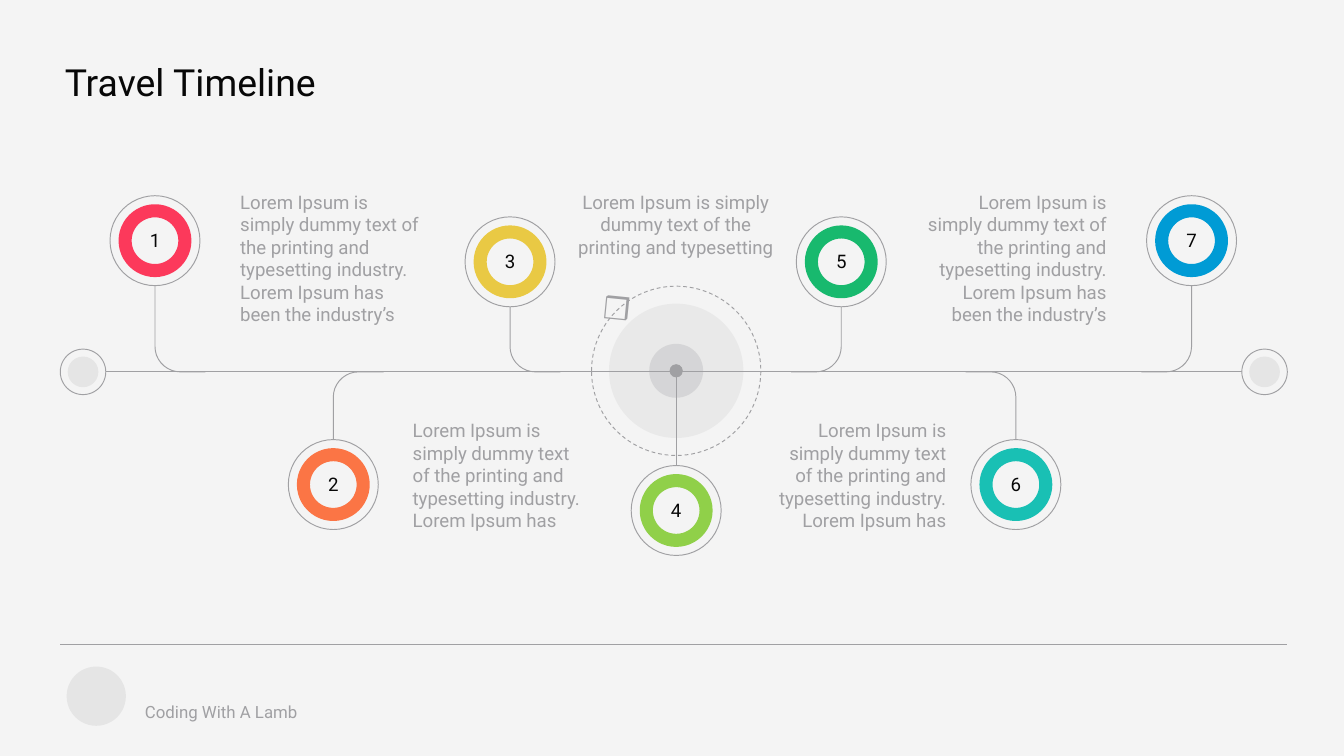
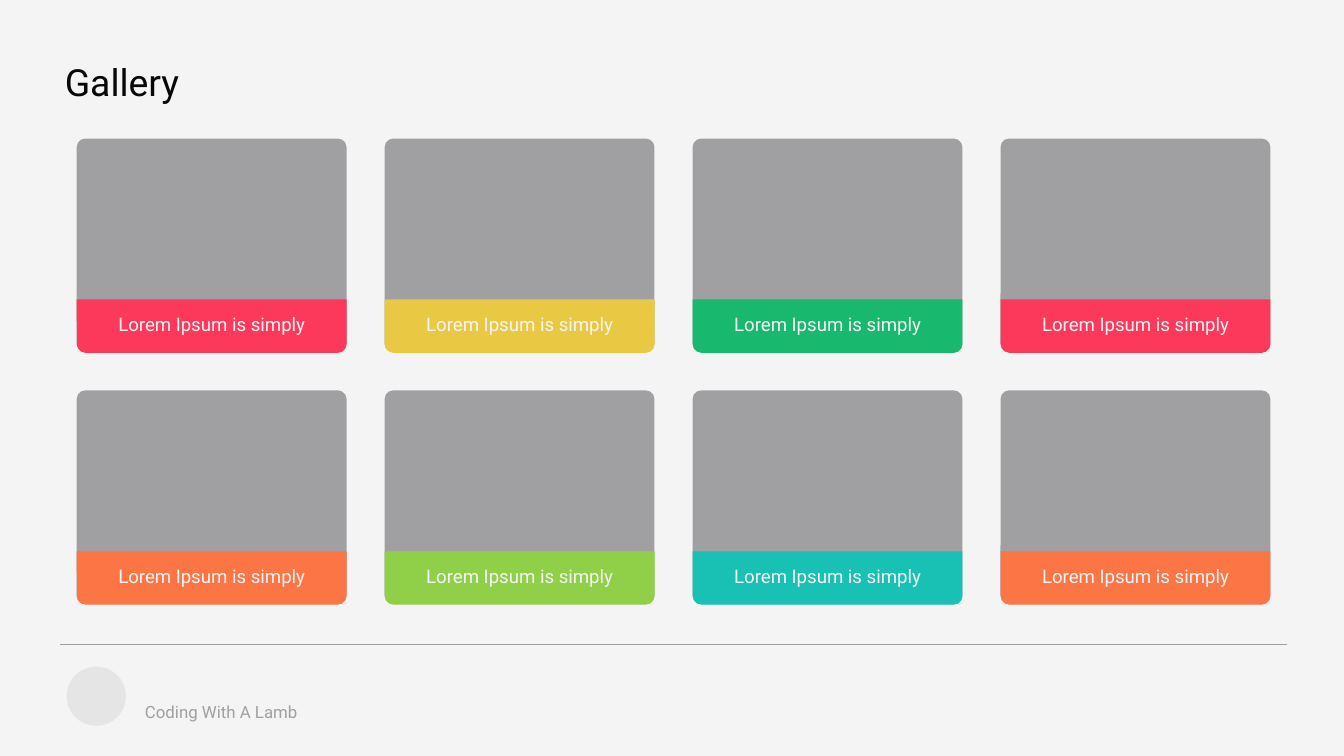
import math

import lxml.etree
import pptx
import pptx.dml.color
import pptx.enum.dml
import pptx.enum.shapes
import pptx.enum.text
import pptx.oxml.ns
import pptx.util

Cm = pptx.util.Cm
Pt = pptx.util.Pt
RGB = pptx.dml.color.RGBColor.from_string
SHAPE = pptx.enum.shapes.MSO_SHAPE
ALIGN = pptx.enum.text.PP_ALIGN
qn = pptx.oxml.ns.qn

COLORS = {
    "paper": "F4F4F4",
    "ink": "070707",
    "grey": "A0A0A3",
    "pale": "E5E5E5",
    "red": "FC395B",
    "orange": "FB7545",
    "yellow": "E9C944",
    "lime": "90D049",
    "green": "18B96E",
    "teal": "19C0B4",
    "blue": "009BD5",
}


def add_figure(slide, kind, box, fill=None, line=None, weight=0.5):
    figure = slide.shapes.add_shape(kind, *[Cm(v) for v in box])
    figure.shadow.inherit = False
    if fill:
        figure.fill.solid()
        figure.fill.fore_color.rgb = RGB(COLORS[fill])
    else:
        figure.fill.background()
    if line:
        figure.line.color.rgb = RGB(COLORS[line])
        figure.line.width = Pt(weight)
    else:
        figure.line.fill.background()
    return figure


def add_words(slide, box, words, align=ALIGN.LEFT, color="grey", size=10, font="Roboto"):
    holder = slide.shapes.add_textbox(*[Cm(v) for v in box])
    holder.text_frame.word_wrap = True
    paragraph = holder.text_frame.paragraphs[0]
    paragraph.alignment = align
    run = paragraph.add_run()
    run.text = words
    run.font.name = font
    run.font.size = Pt(size)
    run.font.color.rgb = RGB(COLORS[color])
    return holder


prs = pptx.Presentation()
prs.slide_width = Cm(25.4)
prs.slide_height = Cm(14.29)
backdrop = prs.slide_master.background.fill
backdrop.solid()
backdrop.fore_color.rgb = RGB(COLORS["paper"])

title_only = prs.slide_layouts[5]
heading = title_only.placeholders[0]
heading.left, heading.top, heading.width, heading.height = Cm(0.97), Cm(0.79), Cm(12.55), Cm(1.3)

AXIS_Y = 7.03
HUB_X = 12.78
RING = 1.7
footer_rule = (1.14, 12.19, 24.33, 12.19)
timeline_axis = (24.13, AXIS_Y, 1.35, AXIS_Y)
hub_stem = (HUB_X, AXIS_Y, HUB_X, 8.8)

slides = []
for title, rules in [
    ("Travel Timeline", [footer_rule, timeline_axis, hub_stem]),
    ("Gallery", [footer_rule]),
]:
    slide = prs.slides.add_slide(title_only)
    slides.append(slide)
    frame = slide.shapes.title.text_frame
    frame.auto_size = pptx.enum.text.MSO_AUTO_SIZE.NONE
    frame.vertical_anchor = pptx.enum.text.MSO_ANCHOR.BOTTOM
    frame.paragraphs[0].alignment = ALIGN.LEFT
    run = frame.paragraphs[0].add_run()
    run.text = title
    run.font.name = "Roboto"
    run.font.size = Pt(20)
    run.font.color.rgb = RGB(COLORS["ink"])

    add_figure(slide, SHAPE.OVAL, (1.26, 12.6, 1.12, 1.12), "pale")
    add_words(slide, (2.49, 13.13, 5.16, 0.64), "Coding With A Lamb", size=9)
    for ends in rules:
        rule = slide.shapes.add_connector(
            pptx.enum.shapes.MSO_CONNECTOR.STRAIGHT, *[Cm(v) for v in ends]
        )
        rule.line.color.rgb = RGB(COLORS["grey"])
        rule.line.width = Pt(0.5)
        lxml.etree.SubElement(rule._element.spPr, qn("a:effectLst"))

timeline, gallery = slides

for end_x in (1.57, 23.9):
    for size, fill, line in [(0.86, "paper", "grey"), (0.58, "pale", None)]:
        box = (end_x - size / 2, AXIS_Y - size / 2, size, size)
        add_figure(timeline, SHAPE.OVAL, box, fill, line)

BEND = 0.48
milestones = [
    (2.93, 4.55, "red"),
    (6.3, 9.16, "orange"),
    (9.64, 4.95, "yellow"),
    (HUB_X, 9.65, "lime"),
    (15.9, 4.95, "green"),
    (19.2, 9.16, "teal"),
    (22.52, 4.55, "blue"),
]
for number, (x, y, color) in enumerate(milestones, 1):
    for size, line, weight in [(RING, "grey", 0.5), (1.13, color, 7)]:
        box = (x - size / 2, y - size / 2, size, size)
        add_figure(timeline, SHAPE.OVAL, box, "paper", line, weight)
    add_words(timeline, (x - 0.45, y - 0.35, 0.9, 0.69), str(number), ALIGN.CENTER, "ink")
    if x == HUB_X:
        continue
    inward = 1 if x < HUB_X else -1
    outward = 1 if y > AXIS_Y else -1
    bend = [math.radians(angle) for angle in range(0, 91, 10)]
    points = [
        (x + inward * BEND * (1 - math.sin(a)), AXIS_Y + outward * BEND * (1 - math.cos(a)))
        for a in bend
    ]
    points.append((x, y - outward * RING / 2))
    builder = timeline.shapes.build_freeform(Cm(x + inward * 0.95), Cm(AXIS_Y))
    builder.add_line_segments([(Cm(px), Cm(py)) for px, py in points], close=False)
    elbow = builder.convert_to_shape()
    elbow.shadow.inherit = False
    elbow.fill.background()
    elbow.line.color.rgb = RGB(COLORS["grey"])
    elbow.line.width = Pt(0.5)

for size, opacity in [(0.25, 100), (1.02, 26), (2.54, 13)]:
    box = (HUB_X - size / 2, 7.01 - size / 2, size, size)
    halo = add_figure(timeline, SHAPE.OVAL, box, "grey")
    if opacity < 100:
        tint = halo._element.spPr.find(".//" + qn("a:srgbClr"))
        lxml.etree.SubElement(tint, qn("a:alpha"), val=str(opacity * 1000))
orbit = add_figure(timeline, SHAPE.OVAL, (HUB_X - 1.6, 5.41, 3.2, 3.2), line="grey")
orbit.line.dash_style = pptx.enum.dml.MSO_LINE.DASH

marker = add_words(timeline, (11.12, 5.21, 1.09, 1.09), "❒", ALIGN.CENTER, size=16, font="Arial")
marker.rotation = 5.8
marker_frame = marker.text_frame
marker_frame.margin_left = marker_frame.margin_right = Cm(0.15)
marker_frame.margin_top = marker_frame.margin_bottom = Cm(0.15)
marker_frame.vertical_anchor = pptx.enum.text.MSO_ANCHOR.MIDDLE
marker_frame.paragraphs[0].line_spacing = 1.2

short_note = "Lorem Ipsum is simply dummy text of the printing and typesetting"
medium_note = short_note + " industry. Lorem Ipsum has"
long_note = medium_note + " been the industry’s"
for box, note, align in [
    ((4.29, 3.48, 4.01, 2.92), long_note, ALIGN.LEFT),
    ((17.15, 3.48, 4.01, 2.92), long_note, ALIGN.RIGHT),
    ((7.55, 7.8, 3.73, 2.39), medium_note, ALIGN.LEFT),
    ((14.45, 7.8, 3.68, 2.39), medium_note, ALIGN.RIGHT),
    ((10.52, 3.48, 4.5, 1.55), short_note, ALIGN.CENTER),
]:
    add_words(timeline, box, note, align)

CARD_W, CARD_H = 5.1, 4.04
card_colors = [
    ["red", "yellow", "green", "red"],
    ["orange", "lime", "teal", "orange"],
]
for row, row_colors in enumerate(card_colors):
    for column, color in enumerate(row_colors):
        x = 1.45 + column * 5.82
        y = 2.62 + row * 4.76
        photo = add_figure(gallery, SHAPE.ROUNDED_RECTANGLE, (x, y, CARD_W, CARD_H), "grey")
        photo.adjustments[0] = 0.04
        band = add_figure(
            gallery, SHAPE.ROUND_2_SAME_RECTANGLE, (x, y + 3.04, CARD_W, 1.01), color
        )
        band.rotation = 180
        caption_box = (x + 0.15, y + 3.17, 4.8, 0.69)
        add_words(gallery, caption_box, "Lorem Ipsum is simply", ALIGN.CENTER, "paper")

prs.save("out.pptx")
